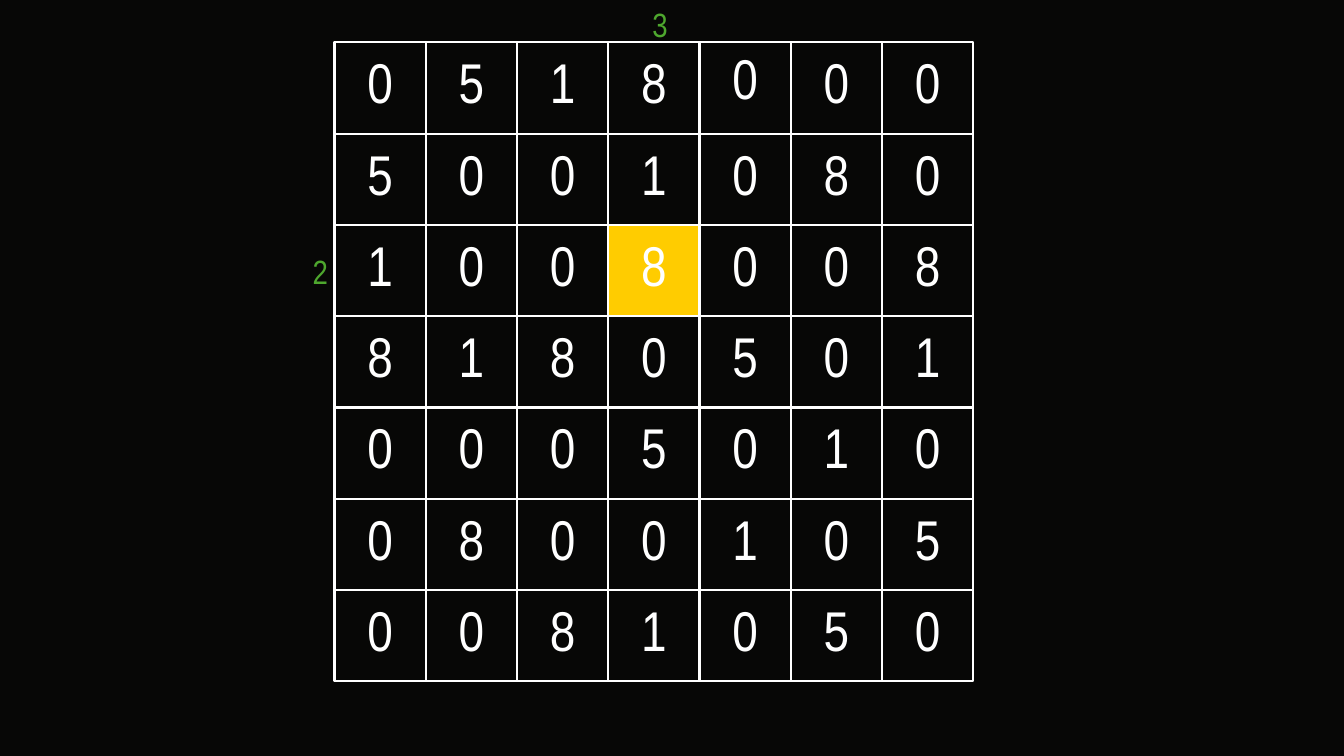
from pptx import Presentation
from pptx.dml.color import RGBColor
from pptx.enum import shapes, text
from pptx.util import Cm, Pt

BLACK = RGBColor(0x07, 0x07, 0x06)
WHITE = RGBColor(0xFF, 0xFF, 0xFF)
YELLOW = RGBColor(0xFF, 0xCC, 0x00)
GREEN = RGBColor(0x4E, 0xA7, 0x2E)
FONT = "Arial Narrow"

MATRIX = [
    "0518000",
    "5001080",
    "1008008",
    "8180501",
    "0005010",
    "0800105",
    "0081050",
]
HIGHLIGHT = (2, 3)
RAISED = (0, 4)

LEFT, TOP, CELL = Cm(8.43), Cm(1.07), Cm(2.3)
DIGIT_HEIGHT = Cm(1.96)
RAISE = Cm(0.1)
LABEL_WIDTH, LABEL_HEIGHT = Cm(0.48), Cm(1.27)


def add_cell(slide, x, y, fill=None):
    sp = slide.shapes.add_shape(shapes.MSO_SHAPE.RECTANGLE, x, y, CELL, CELL)
    sp.shadow.inherit = False
    if fill is None:
        sp.fill.background()
    else:
        sp.fill.solid()
        sp.fill.fore_color.rgb = fill
    sp.line.color.rgb = WHITE
    sp.line.width = Pt(1.5)


def add_digit(slide, digit, x, y, width, height, size, color):
    tf = slide.shapes.add_textbox(x, y, width, height).text_frame
    tf.word_wrap = True
    tf.auto_size = text.MSO_AUTO_SIZE.SHAPE_TO_FIT_TEXT
    tf.vertical_anchor = text.MSO_ANCHOR.MIDDLE
    p = tf.paragraphs[0]
    p.alignment = text.PP_ALIGN.CENTER
    r = p.add_run()
    r.text = digit
    r.font.name = FONT
    r.font.size = Pt(size)
    r.font.color.rgb = color


def add_matrix(slide):
    for row, digits in enumerate(MATRIX):
        for col, digit in enumerate(digits):
            x, y = LEFT + col * CELL, TOP + row * CELL
            add_cell(slide, x, y, YELLOW if (row, col) == HIGHLIGHT else None)
            if (row, col) == RAISED:
                y -= RAISE
            add_digit(slide, digit, x, y, CELL, DIGIT_HEIGHT, 40, WHITE)


def add_index_label(slide, index, x, y):
    add_digit(slide, str(index), x, y, LABEL_WIDTH, LABEL_HEIGHT, 24, GREEN)


def main():
    prs = Presentation()
    prs.slide_width, prs.slide_height = Cm(33.87), Cm(19.05)
    slide = prs.slides.add_slide(prs.slide_layouts[6])
    slide.background.fill.solid()
    slide.background.fill.fore_color.rgb = BLACK

    add_matrix(slide)
    row, col = HIGHLIGHT
    add_index_label(slide, col, Cm(16.21), Cm(-0.03))
    add_index_label(slide, row, Cm(7.65), Cm(6.2))

    prs.save("out.pptx")


if __name__ == "__main__":
    main()
